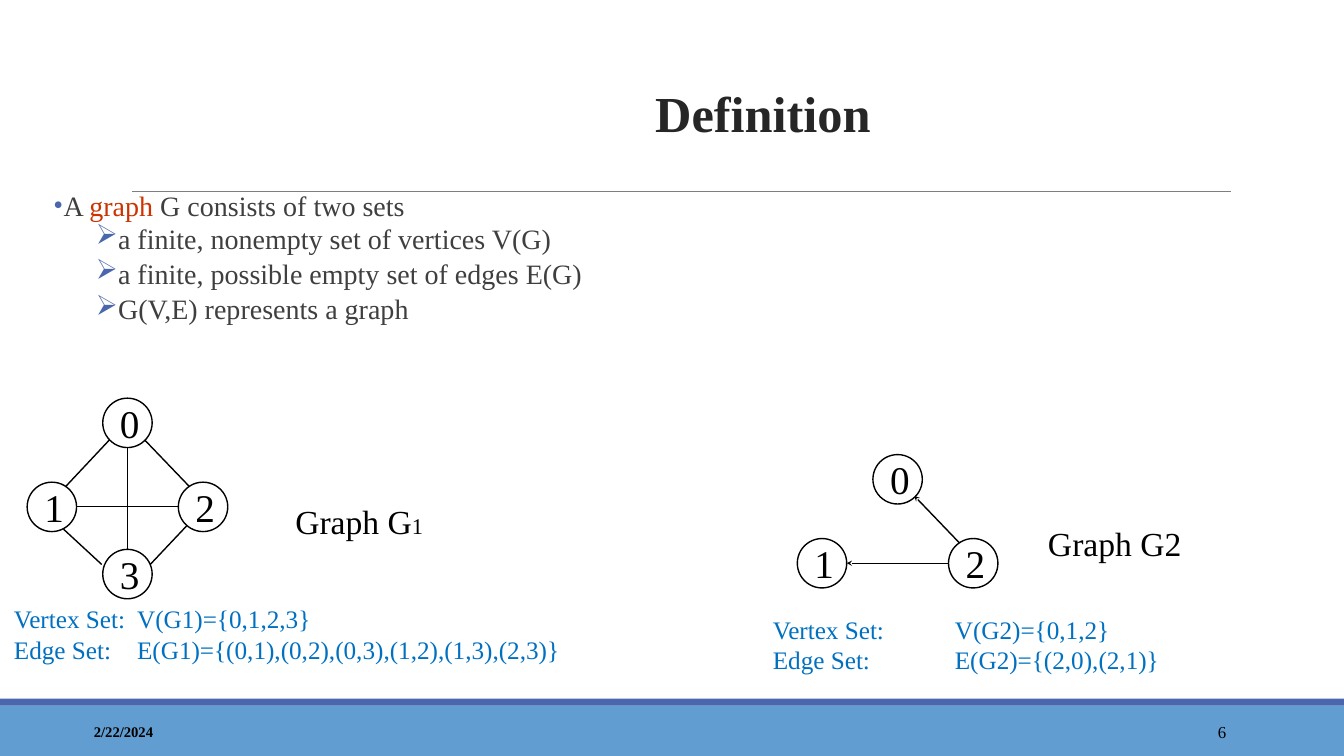
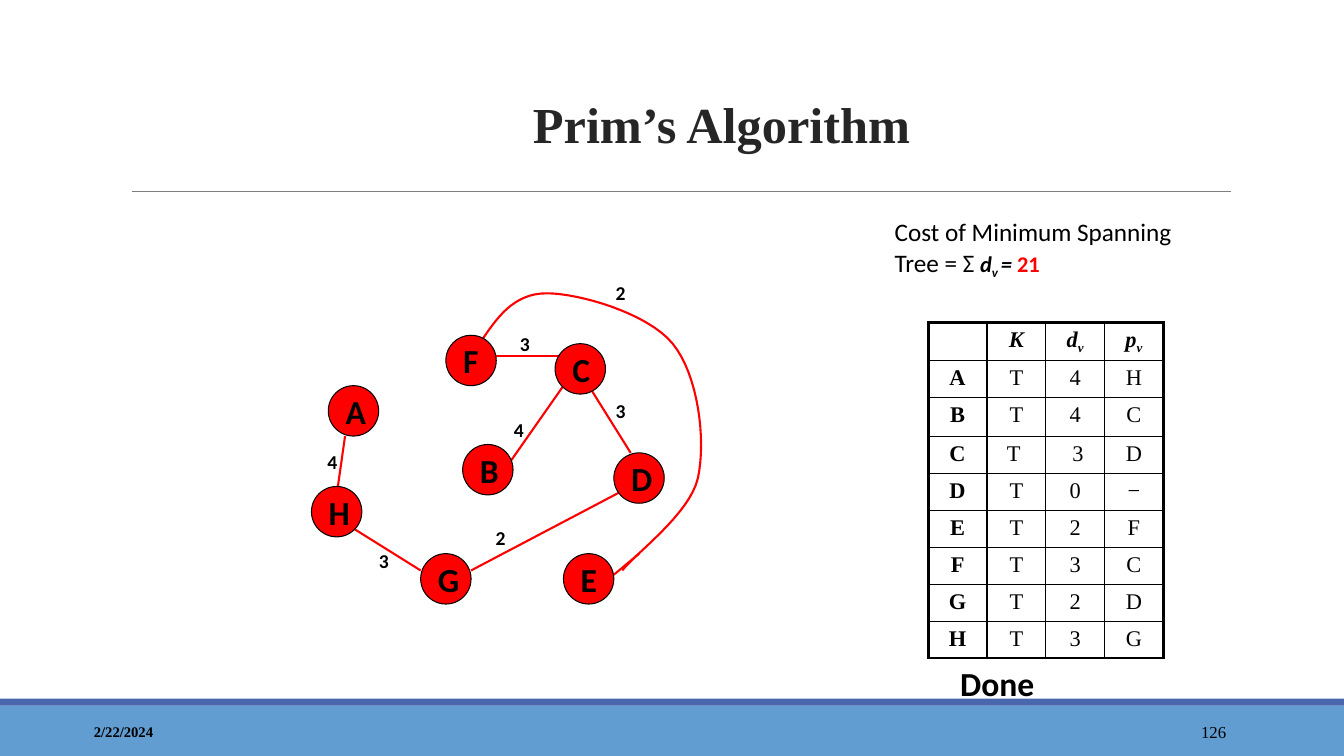
from dataclasses import dataclass

from lxml import etree
from pptx import Presentation
from pptx.dml.color import RGBColor
from pptx.enum.shapes import MSO_CONNECTOR, MSO_SHAPE
from pptx.enum.text import MSO_ANCHOR, MSO_AUTO_SIZE, PP_ALIGN
from pptx.oxml.ns import qn
from pptx.util import Pt

STRAIGHT = MSO_CONNECTOR.STRAIGHT
RECTANGLE, OVAL = MSO_SHAPE.RECTANGLE, MSO_SHAPE.OVAL
TOP, MIDDLE, BOTTOM = MSO_ANCHOR.TOP, MSO_ANCHOR.MIDDLE, MSO_ANCHOR.BOTTOM
LEFT, CENTER, RIGHT = PP_ALIGN.LEFT, PP_ALIGN.CENTER, PP_ALIGN.RIGHT
NO_FIT = MSO_AUTO_SIZE.NONE
TITLE_ONLY = 5


def text_format(font, size, color, **extra):
    """Return the format values of a span."""
    return {"name": font, "size": Pt(size), "color": RGBColor.from_string(color), **extra}


@dataclass(frozen=True)
class Theme:
    """Colours and type of the deck."""
    serif = "Times New Roman"
    sans = "Calibri"
    symbols = "Wingdings"
    black = RGBColor.from_string("000000")
    white = RGBColor.from_string("FFFFFF")
    red = RGBColor.from_string("FF0000")
    sky = RGBColor.from_string("629DD1")
    accent = RGBColor.from_string("4A66AC")
    rule = RGBColor.from_string("7F7F7F")
    highlight = RGBColor.from_string("CC3300")
    title = text_format(serif, 36, "262626", bold=True)
    body = text_format(serif, 20, "3F3F3F")
    date = text_format(serif, 10.5, "000000", bold=True)
    number = text_format(serif, 12, "000000")
    vertex = text_format(serif, 28, "000000")
    caption = text_format(serif, 24, "000000")
    sets = text_format(serif, 18, "0070C0")
    cell = text_format(serif, 16, "000000")
    cost = text_format(sans, 18, "000000")
    label = text_format(sans, 24, "000000", bold=True)
    weight = text_format(sans, 14, "000000", bold=True)


THEME = Theme()
PLAIN_NODE = {"size": 35.3, "fill": THEME.white, "outline": 1, "text": THEME.vertex,
              "align": CENTER, "edge": THEME.black, "edge_width": 1}
TREE_NODE = {"size": 36, "fill": THEME.red, "outline": 0.75, "text": THEME.label,
             "align": LEFT, "edge": THEME.red, "edge_width": 1.5}

VERTICES = {"0": (54, 0), "1": (0, 60), "2": (108, 60), "3": (54, 108)}
EDGES = {
    "03": (71.6, 35.3, 71.6, 108),
    "12": (35.3, 77.6, 108, 77.6),
    "01": (59.1, 29.5, 26.7, 64),
    "02": (83.6, 29.5, 116.7, 64),
    "13": (26, 93.6, 53.3, 118.8),
    "23": (113.8, 91.4, 87.9, 118.8),
}
TREE_VERTICES = {"A": (12, 66), "H": (0, 138), "B": (108, 108), "F": (96, 30),
                 "E": (180, 186), "D": (216, 114), "C": (174, 36), "G": (78, 186)}
TREE_EDGES = [(138, 126, 180, 66), (114, 198, 228, 138), (18, 144, 24, 102),
              (130, 45, 186, 45), (198, 66, 228, 114), (78, 198, 30, 168),
              (234, 186, 216, 201)]
TREE_WEIGHTS = [("4", 4.3, 108), ("2", 124.5, 162.7), ("3", 210.2, 72), ("4", 137.5, 85.7),
                ("3", 141.8, 23.8), ("3", 41, 179.3), ("2", 210.2, -12.2)]
TREE_CURVE = [(120, 36), (132, 18), (144, 0), (168, 0), (191, 0), (240, 14), (258, 36),
              (276, 58), (282, 104), (276, 132), (270, 158), (231, 186), (222, 198)]
TABLE_ROWS = ["A|T|4|H", "B|T|4|C", "C|T | 3|D", "D|T|0|−", "E|T|2|F",
              "F|T|3|C", "G|T|2|D", "H|T|3|G"]


def points(*lengths):
    """Turn numbers into point lengths."""
    return [Pt(length) for length in lengths]


def add_span(para, text, values):
    """Add a run with the given format values."""
    span = para.add_run()
    span.text = text
    for name, value in values.items():
        if name == "color":
            span.font.color.rgb = value
        elif name == "baseline":
            span._r.get_or_add_rPr().set(name, str(value))
        else:
            setattr(span.font, name, value)


def write(frame, paras, base, align=LEFT, anchor=TOP):
    """Fill a text frame with paragraphs of (text, changes) spans."""
    frame.word_wrap, frame.auto_size, frame.vertical_anchor = True, NO_FIT, anchor
    for index, spans in enumerate(paras):
        para = frame.paragraphs[0] if index == 0 else frame.add_paragraph()
        para.alignment = align
        for text, changes in spans:
            add_span(para, text, base | changes)


def add_text(page, box, paras, base, align=LEFT, anchor=TOP):
    """Add a text box and return its frame."""
    frame = page.shapes.add_textbox(*points(*box)).text_frame
    write(frame, paras, base, align, anchor)
    return frame


def add_line(page, ends, color, width, arrow=False):
    """Add a straight line, with an arrowhead at its start if asked."""
    line = page.shapes.add_connector(STRAIGHT, *points(*ends))
    line.line.color.rgb, line.line.width = color, Pt(width)
    if arrow:
        etree.SubElement(line.line._get_or_add_ln(), qn("a:headEnd"),
                         type="stealth", w="sm", len="sm")
    etree.SubElement(line._element.spPr, qn("a:effectLst"))


def add_filled(page, kind, box, fill):
    """Add a preset shape with a plain fill and no outline."""
    shape = page.shapes.add_shape(kind, *points(*box))
    shape.shadow.inherit = False
    shape.fill.solid()
    shape.fill.fore_color.rgb = fill
    shape.line.fill.background()
    return shape


def add_page(deck, title, corner, spacing, number):
    """Add a slide with title, rule, bands, date and number."""
    page = deck.slides.add_slide(deck.slide_layouts[TITLE_ONLY])
    holder = page.shapes.title
    holder.left, holder.top, holder.width, holder.height = points(*corner, 792, 76.3)
    write(holder.text_frame, [[(title, {})]], THEME.title, CENTER, BOTTOM)
    holder.text_frame.paragraphs[0].line_spacing = spacing
    add_filled(page, RECTANGLE, (0, 504, 960, 36), THEME.sky)
    add_filled(page, RECTANGLE, (0, 499, 960, 5), THEME.accent)
    add_line(page, (94.3, 136.8, 879, 136.8), THEME.rule, 0.75)
    add_text(page, (60, 508.3, 216, 28.8), [[("2/22/2024", {})]], THEME.date, anchor=MIDDLE)
    add_text(page, (780, 508.3, 103, 28.8), [[(number, {})]], THEME.number, RIGHT, MIDDLE)
    return page


def add_bullet(para, symbol, font, margin, indent):
    """Give a paragraph a coloured bullet and its indents."""
    properties = para._p.get_or_add_pPr()
    properties.set("marL", str(Pt(margin)))
    properties.set("indent", str(Pt(indent)))
    color = etree.SubElement(properties, qn("a:buClr"))
    etree.SubElement(color, qn("a:srgbClr"), val=str(THEME.accent))
    typeface = etree.SubElement(properties, qn("a:buFont"), typeface=font)
    if font == THEME.symbols:
        typeface.set("charset", "2")
    etree.SubElement(properties, qn("a:buChar"), char=symbol)


def add_definition(page, box):
    """Place the bulleted definition of a graph."""
    paras = [[("A ", {}), ("graph", {"color": THEME.highlight}), (" G consists of two sets", {})],
             [("a finite, nonempty set of vertices V(G)", {})],
             [("a finite, possible empty set of edges E(G)", {})],
             [("G(V,E) represents a graph", {})]]
    frame = add_text(page, box, paras, THEME.body)
    frame.margin_left = frame.margin_right = 0
    for para, before in zip(frame.paragraphs, (0, 4, 6, 6)):
        if before:
            para.level = 1
            add_bullet(para, "Ø", THEME.symbols, 44.6, -14.4)
            para.space_before = Pt(before)
        else:
            add_bullet(para, "•", THEME.serif, 7.2, -15.8)
        para.line_spacing = 0.8


def add_graph(page, origin, vertices, edges, look, arrow=False):
    """Draw edges and then labelled vertices from an origin."""
    left, top = origin
    for x1, y1, x2, y2 in edges:
        ends = (left + x1, top + y1, left + x2, top + y2)
        add_line(page, ends, look["edge"], look["edge_width"], arrow)
    for name, (x, y) in vertices.items():
        node = add_filled(page, OVAL, (left + x, top + y, look["size"], look["size"]), look["fill"])
        node.line.color.rgb, node.line.width = THEME.black, Pt(look["outline"])
        write(node.text_frame, [[(name, {})]], look["text"], look["align"], MIDDLE)


def add_example(page, origin, names, pairs, caption, caption_at, sets, sets_box, tab, arrow=False):
    """Place a small graph with its caption and its two sets."""
    left, top = origin
    vertices = {name: VERTICES[name] for name in names}
    add_graph(page, origin, vertices, [EDGES[pair] for pair in pairs], PLAIN_NODE, arrow)
    x, y = caption_at
    add_text(page, (left + x, top + y, 110, 36.7), [caption], THEME.caption)
    x, y, width = sets_box
    frame = add_text(page, (left + x, top + y, width, 65.5),
                     [[(f"{label}\t{value}", {})] for label, value in
                      zip(("Vertex Set:", "Edge Set:"), sets)], THEME.sets)
    for para in frame.paragraphs:
        stops = etree.SubElement(para._p.get_or_add_pPr(), qn("a:tabLst"))
        etree.SubElement(stops, qn("a:tab"), pos=str(Pt(tab)), algn="l")


def bezier(controls, steps=16):
    """Yield points along joined cubic curves."""
    for start in range(0, len(controls) - 1, 3):
        for step in range(1, steps + 1):
            t = step / steps
            factors = ((1 - t) ** 3, 3 * t * (1 - t) ** 2, 3 * t * t * (1 - t), t ** 3)
            yield tuple(sum(factor * point[axis] for factor, point in
                            zip(factors, controls[start:start + 4])) for axis in (0, 1))


def add_tree(page, origin):
    """Place the spanning tree with its curved edge and weights."""
    left, top = origin
    x, y = TREE_CURVE[0]
    outline = page.shapes.build_freeform(*points(left + x, top + y))
    outline.add_line_segments([points(left + x, top + y) for x, y in bezier(TREE_CURVE)], close=False)
    curve = outline.convert_to_shape()
    curve.shadow.inherit = False
    curve.fill.background()
    curve.line.color.rgb, curve.line.width = THEME.red, Pt(1.5)
    add_graph(page, origin, TREE_VERTICES, TREE_EDGES, TREE_NODE)
    for text, x, y in TREE_WEIGHTS:
        add_text(page, (left + x, top + y, 24, 24), [[(text, {})]], THEME.weight)


def set_borders(cell, heavy):
    """Draw black cell borders, thicker on the heavy sides."""
    properties = cell._tc.get_or_add_tcPr()
    for side in "LRTB":
        width = 2.25 if side in heavy else 1
        line = etree.SubElement(properties, qn(f"a:ln{side}"), w=str(Pt(width)))
        fill = etree.SubElement(line, qn("a:solidFill"))
        etree.SubElement(fill, qn("a:srgbClr"), val=str(THEME.black))
    cell.fill.background()


def add_cost_table(page, box):
    """Place the table of vertex, state, distance and parent."""
    strong = {"bold": True}
    slanted = {"bold": True, "italic": True}
    lowered = slanted | {"baseline": -25000}
    rows = [[[], [("K", slanted)], [("d", slanted), ("v", lowered)], [("p", slanted), ("v", lowered)]]]
    for row in TABLE_ROWS:
        rows.append([[(text, {} if index else strong)] for index, text in enumerate(row.split("|"))])
    last_row, last_column = len(rows) - 1, len(rows[0]) - 1
    table = page.shapes.add_table(len(rows), len(rows[0]), *points(*box)).table
    table.first_row = table.horz_banding = False
    for column in table.columns:
        column.width = Pt(box[2] / len(rows[0]))
    for r, row in enumerate(rows):
        table.rows[r].height = Pt(27.6 if r == 2 else 26.4)
        for c, spans in enumerate(row):
            cell = table.cell(r, c)
            para = cell.text_frame.paragraphs[0]
            para.alignment = CENTER
            for text, changes in spans:
                add_span(para, text, THEME.cell | changes)
            if not spans:
                etree.SubElement(para._p, qn("a:endParaRPr"), sz="1600")
            sides = {"L": c == 0, "R": c == last_column, "T": r == 0, "B": r == last_row}
            set_borders(cell, [side for side, outer in sides.items() if outer])


def add_result(page, corner):
    """Place the cost, the table and the closing word in a column."""
    left, top = corner
    symbol = {"size": Pt(16), "bold": True, "italic": True}
    cost = [("Cost of Minimum Spanning Tree = Σ ", {}), ("d", symbol),
            ("v ", symbol | {"baseline": -25000}), ("= ", symbol),
            ("21", symbol | {"italic": False, "color": THEME.red})]
    add_text(page, (left, top, 228, 55.4), [cost], THEME.cost)
    add_cost_table(page, (left + 31, top + 79, 168, 238.8))
    add_text(page, (left + 46.8, top + 319, 144, 36), [[("Done", {})]], THEME.label)


def main():
    """Build and save the deck."""
    deck = Presentation()
    deck.slide_width, deck.slide_height = points(960, 540)
    page = add_page(deck, "Definition", (149, 29.5), 0.85, "6")
    add_definition(page, (38.2, 136, 826, 117.4))
    add_example(page, (19.4, 284.4), "0123", EDGES,
                [("Graph G", {}), ("1", {"size": Pt(16)})], (184.4, 69.8),
                ("V(G1)={0,1,2,3}", "E(G1)={(0,1),(0,2),(0,3),(1,2),(1,3),(2,3)}"),
                (-16.5, 143.3, 521), 88)
    add_example(page, (569.5, 324.7), "012", ("12", "02"),
                [("Graph G2", {})], (172, 45.4),
                ("V(G2)={0,1,2}", "E(G2)={(2,0),(2,1)}"),
                (-24.5, 110.2, 381.6), 130, arrow=True)
    page = add_page(deck, "Prim’s Algorithm", (119.5, 36.7), 1.1, "126")
    add_tree(page, (222.5, 209.5))
    add_result(page, (632, 151.2))
    deck.save("out.pptx")


if __name__ == "__main__":
    main()
